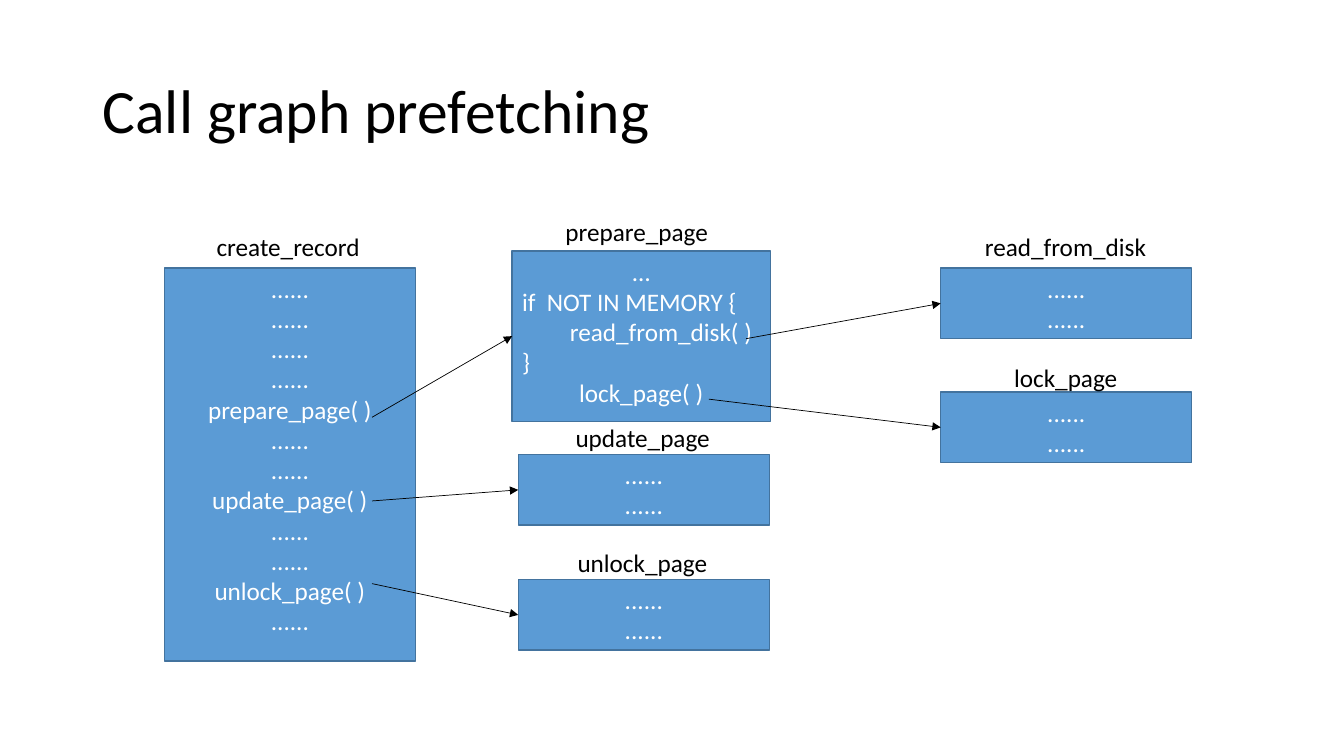
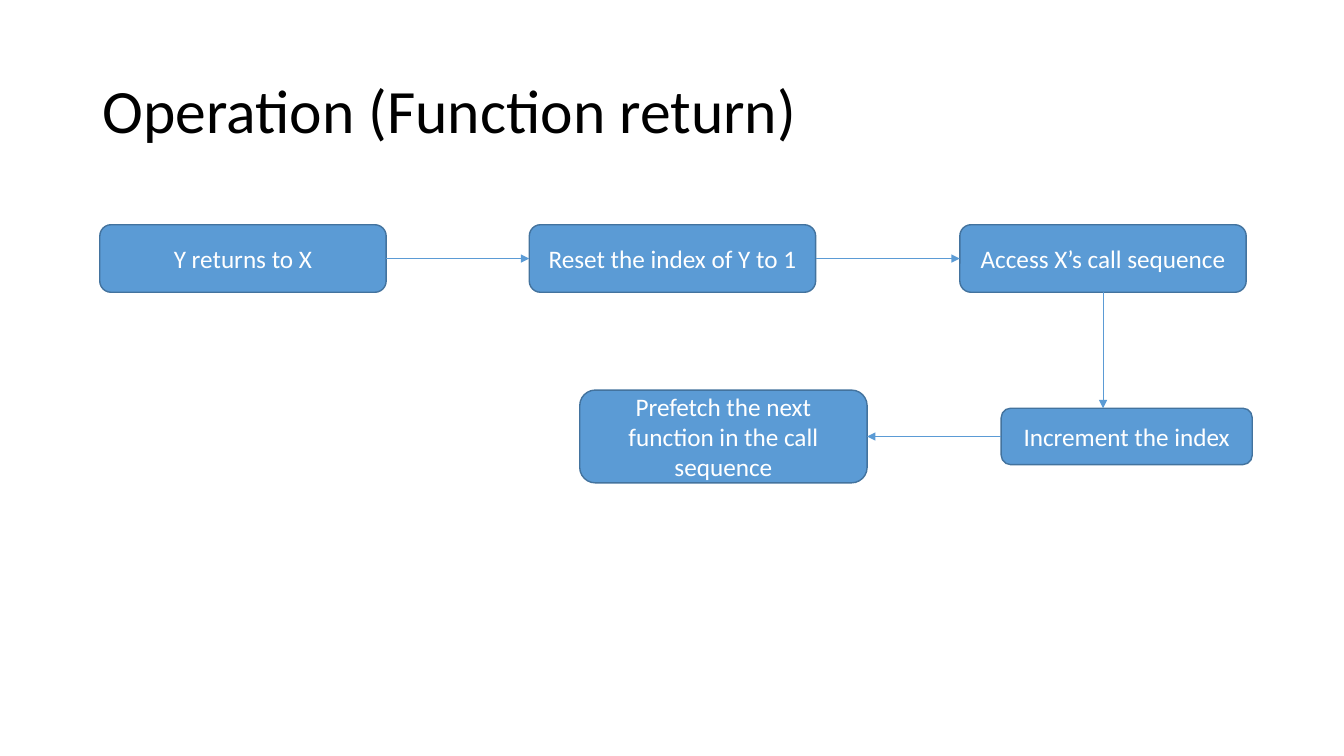
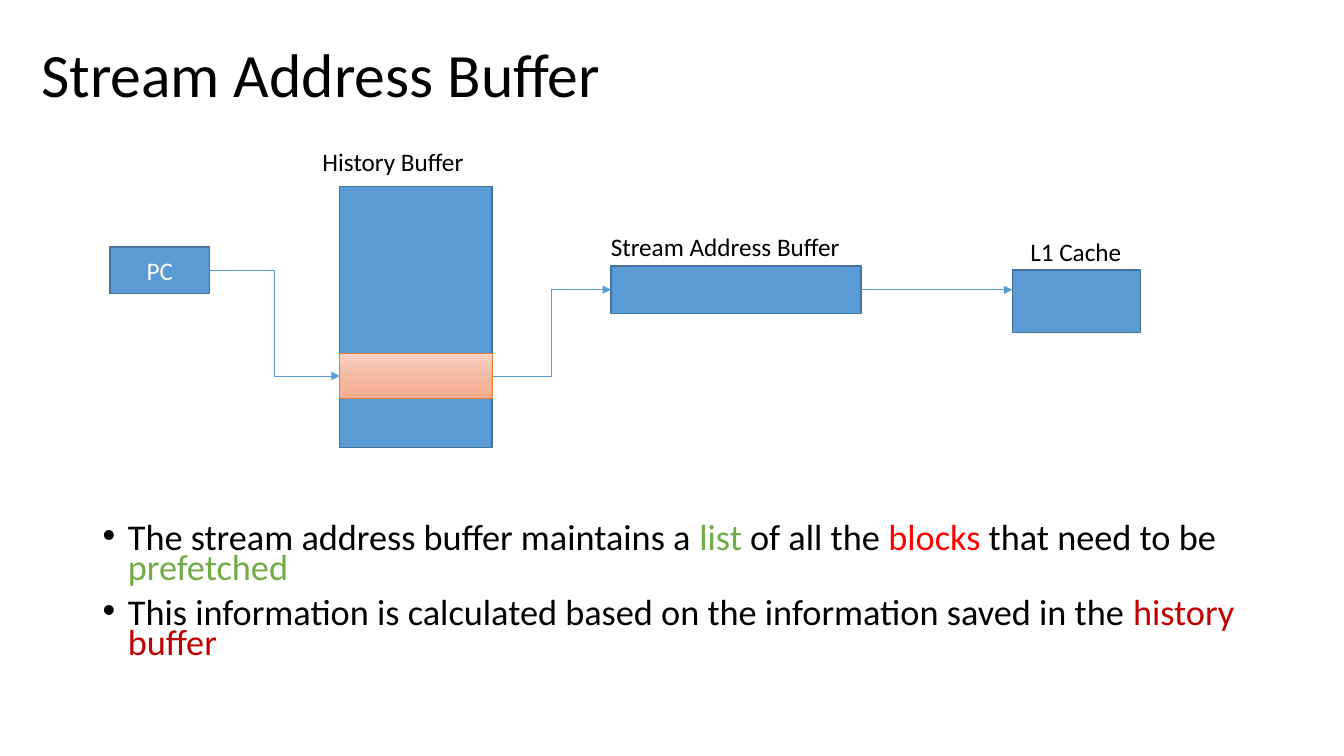
from copy import deepcopy
from dataclasses import dataclass

from lxml.etree import SubElement
from pptx import Presentation
from pptx.dml.color import RGBColor
from pptx.enum.shapes import MSO_CONNECTOR, MSO_SHAPE
from pptx.enum.text import MSO_ANCHOR, MSO_AUTO_SIZE, PP_ALIGN
from pptx.oxml.ns import qn
from pptx.util import Inches, Pt

FONT = "Calibri"
COLORS = {
    "black": "000000", "white": "FFFFFF", "blue": "5B9BD5", "outline": "43739E",
    "orange": "ED7D31", "green": "70AD47", "red": "FF0000", "dark_red": "C00000",
}
BAND_STOPS = ((0, "F9D1C3"), (0.5, "F5BAA4"), (1, "F7AB8D"))
DOTS = "......"

Point = tuple[float, float]


def rgb(name: str) -> RGBColor:
    return RGBColor.from_string(COLORS[name])


@dataclass(frozen=True)
class Line:
    text: str
    align: PP_ALIGN = PP_ALIGN.CENTER


@dataclass(frozen=True)
class Box:
    x: float
    y: float
    w: float
    h: float
    lines: tuple[Line, ...] = ()
    shape: MSO_SHAPE = MSO_SHAPE.RECTANGLE
    anchor: MSO_ANCHOR = MSO_ANCHOR.MIDDLE

    @property
    def left(self) -> Point:
        return self.x, self.y + self.h / 2

    @property
    def right(self) -> Point:
        return self.x + self.w, self.y + self.h / 2

    @property
    def top(self) -> Point:
        return self.x + self.w / 2, self.y

    @property
    def bottom(self) -> Point:
        return self.x + self.w / 2, self.y + self.h


@dataclass(frozen=True)
class Label:
    text: str
    x: float
    y: float
    w: float


@dataclass(frozen=True)
class Arrow:
    start: Point
    end: Point
    color: str = "blue"
    kind: MSO_CONNECTOR = MSO_CONNECTOR.STRAIGHT


# Drawing helpers
def add_run(paragraph, text: str, size: float, color: str) -> None:
    run = paragraph.add_run()
    run.text = text
    run.font.name = FONT
    run.font.size = Pt(size)
    run.font.color.rgb = rgb(color)


def add_text_frame(slide, x: float, y: float, w: float, h: float, wrap: bool = True):
    frame = slide.shapes.add_textbox(Inches(x), Inches(y), Inches(w), Inches(h)).text_frame
    frame.word_wrap = wrap
    return frame


def start_slide(prs, title: str, x: float = 0.92, y: float = 0.4):
    slide = prs.slides.add_slide(prs.slide_layouts[6])
    frame = add_text_frame(slide, x, y, 11.5, 1.45)
    frame.vertical_anchor = MSO_ANCHOR.MIDDLE
    frame.paragraphs[0].line_spacing = 0.9
    add_run(frame.paragraphs[0], title, 44, "black")
    return slide


def draw_box(slide, box: Box):
    shape = slide.shapes.add_shape(
        box.shape, Inches(box.x), Inches(box.y), Inches(box.w), Inches(box.h))
    shape.shadow.inherit = False
    shape.fill.solid()
    shape.fill.fore_color.rgb = rgb("blue")
    shape.line.color.rgb = rgb("outline")
    shape.line.width = Pt(1)
    frame = shape.text_frame
    frame.word_wrap = True
    frame.vertical_anchor = box.anchor
    for i, line in enumerate(box.lines):
        paragraph = frame.add_paragraph() if i else frame.paragraphs[0]
        paragraph.alignment = line.align
        add_run(paragraph, line.text, 18, "white")
    return shape


def draw_label(slide, label: Label) -> None:
    frame = add_text_frame(slide, label.x, label.y, label.w, 0.4, wrap=False)
    frame.auto_size = MSO_AUTO_SIZE.SHAPE_TO_FIT_TEXT
    add_run(frame.paragraphs[0], label.text, 18, "black")


def draw_arrow(slide, arrow: Arrow) -> None:
    ends = [Inches(v) for v in (*arrow.start, *arrow.end)]
    connector = slide.shapes.add_connector(arrow.kind, *ends)
    connector.line.color.rgb = rgb(arrow.color)
    connector.line.width = Pt(0.5)
    SubElement(connector.line._get_or_add_ln(), qn("a:tailEnd"), type="triangle")
    SubElement(connector._element.spPr, qn("a:effectLst"))


def draw_diagram(slide, boxes=(), labels=(), arrows=()) -> None:
    for box in boxes:
        draw_box(slide, box)
    for label in labels:
        draw_label(slide, label)
    for arrow in arrows:
        draw_arrow(slide, arrow)


def draw_band(slide, band: Box) -> None:
    shape = draw_box(slide, band)
    shape.line.color.rgb = rgb("orange")
    shape.line.width = Pt(0.5)
    shape.fill.gradient()
    shape.fill.gradient_angle = 270
    first_stop = shape._element.spPr.find(f".//{qn('a:gs')}")
    first_stop.addnext(deepcopy(first_stop))
    for stop, (position, color) in zip(shape.fill.gradient_stops, BAND_STOPS):
        stop.position = position
        stop.color.rgb = RGBColor.from_string(color)


def draw_bullets(slide, bullets) -> None:
    frame = add_text_frame(slide, 0.92, 5.17, 11.5, 1.59)
    for i, runs in enumerate(bullets):
        paragraph = frame.add_paragraph() if i else frame.paragraphs[0]
        paragraph.line_spacing = 0.7
        if i:
            paragraph.space_before = Pt(10)
        props = paragraph._p.get_or_add_pPr()
        props.set("marL", str(Inches(0.25)))
        props.set("indent", str(-Inches(0.25)))
        SubElement(props, qn("a:buFont"), typeface="Arial")
        SubElement(props, qn("a:buChar"), char="•")
        for text, color in runs:
            add_run(paragraph, text, 25.9, color)


# Slides
def function_box(x: float, y: float, w: float = 2.49, h: float = 0.7,
                 lines: tuple[Line, ...] = (Line(DOTS),) * 2) -> Box:
    return Box(x, y, w, h, lines, anchor=MSO_ANCHOR.TOP)


def build_call_graph(prs) -> None:
    slide = start_slide(prs, "Call graph prefetching")
    dots = (Line(DOTS),)
    create_record = function_box(1.63, 2.66, h=3.9, lines=(
        *dots * 4, Line("prepare_page( )"), *dots * 2, Line("update_page( )"),
        *dots * 2, Line("unlock_page( )"), *dots))
    prepare_page = function_box(5.08, 2.49, 2.56, 1.69, (
        Line("…"),
        Line("if  NOT IN MEMORY {", PP_ALIGN.LEFT),
        Line("       read_from_disk( )"),
        Line("}", PP_ALIGN.LEFT),
        Line("lock_page( )")))
    read_from_disk, lock_page = (function_box(9.33, y) for y in (2.66, 3.89))
    update_page, unlock_page = (function_box(5.14, y) for y in (4.51, 5.75))
    calls = (
        ((3.69, 4.14), prepare_page), ((3.69, 4.97), update_page),
        ((3.69, 5.79), unlock_page), ((7.4, 3.36), read_from_disk),
        ((7.03, 3.96), lock_page),
    )
    draw_diagram(
        slide,
        (create_record, prepare_page, read_from_disk, lock_page, update_page, unlock_page),
        (Label("create_record", 2.05, 2.25, 1.64), Label("prepare_page", 5.51, 2.1, 1.63),
         Label("read_from_disk", 9.67, 2.25, 1.82), Label("lock_page", 9.96, 3.55, 1.24),
         Label("update_page", 5.61, 4.14, 1.55), Label("unlock_page", 5.63, 5.38, 1.5)),
        [Arrow(call, callee.left, "black") for call, callee in calls])


def step_box(text: str, x: float, y: float = 2.23, w: float = 2.84, h: float = 0.67) -> Box:
    return Box(x, y, w, h, (Line(text),), MSO_SHAPE.ROUNDED_RECTANGLE)


def build_function_return(prs) -> None:
    slide = start_slide(prs, "Operation (Function return)")
    returns = step_box("Y returns to X", 0.99)
    reset = step_box("Reset the index of Y to 1", 5.25)
    access = step_box("Access X’s call sequence", 9.52)
    increment = step_box("Increment the index", 9.93, 4.05, 2.49, 0.56)
    prefetch = step_box("Prefetch the next function in the call sequence", 5.75, 3.87, 2.85, 0.92)
    draw_diagram(
        slide, (returns, reset, access, increment, prefetch),
        arrows=(Arrow(returns.right, reset.left), Arrow(reset.right, access.left),
                Arrow(access.bottom, (access.bottom[0], increment.y)),
                Arrow(increment.left, prefetch.right)))


def build_stream_buffer(prs) -> None:
    slide = start_slide(prs, "Stream Address Buffer", 0.31, 0.04)
    draw_bullets(slide, (
        (("The stream address buffer maintains a ", "black"), ("list", "green"),
         (" of all the ", "black"), ("blocks", "red"),
         (" that need to be ", "black"), ("prefetched", "green")),
        (("This information is calculated based on the information saved in the ", "black"),
         ("history buffer", "dark_red")),
    ))
    counter = Box(1.09, 2.45, 0.99, 0.46, (Line("PC"),))
    history = Box(3.37, 1.85, 1.51, 2.59)
    band = Box(history.x, 3.51, history.w, 0.44)
    stream = Box(6.06, 2.64, 2.48, 0.47)
    cache = Box(10.04, 2.68, 1.27, 0.62)
    draw_diagram(
        slide, (counter, history, stream, cache),
        (Label("History Buffer", 3.1, 1.4, 1.62),
         Label("Stream Address Buffer", 5.96, 2.25, 2.5),
         Label("L1 Cache", 10.12, 2.3, 1.12)),
        (Arrow(counter.right, band.left, kind=MSO_CONNECTOR.ELBOW),
         Arrow(band.right, stream.left, kind=MSO_CONNECTOR.ELBOW),
         Arrow(stream.right, (cache.x, stream.right[1]))))
    draw_band(slide, band)


def main() -> None:
    prs = Presentation()
    prs.slide_width, prs.slide_height = Inches(13.33), Inches(7.5)
    build_call_graph(prs)
    build_function_return(prs)
    build_stream_buffer(prs)
    prs.save("out.pptx")


if __name__ == "__main__":
    main()
